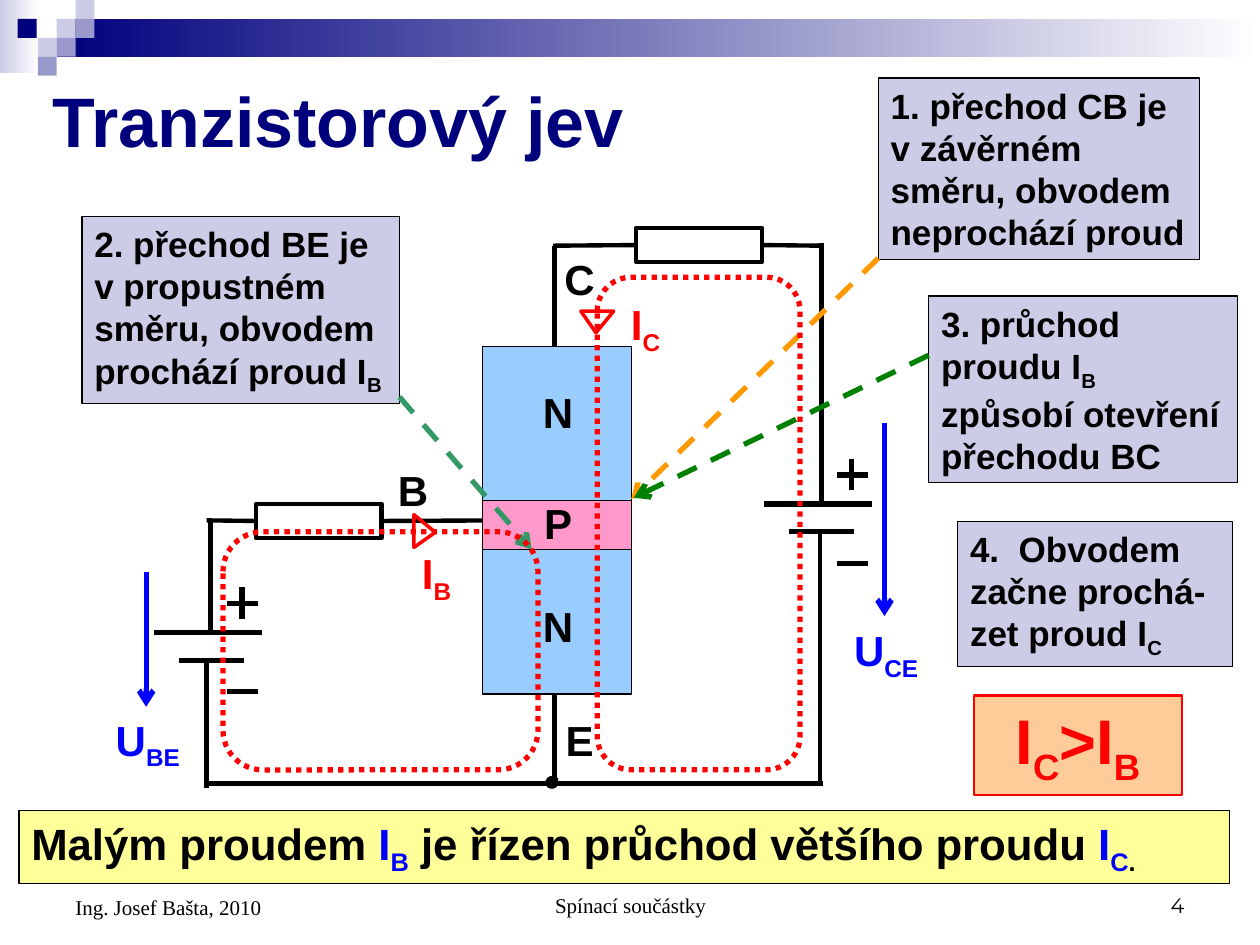
import pptx
import pptx.dml.color
import pptx.enum.dml
import pptx.enum.shapes
import pptx.enum.text
import pptx.oxml.ns
import pptx.util
from lxml import etree

RGB = pptx.dml.color.RGBColor
SHAPE = pptx.enum.shapes.MSO_SHAPE
DASH = pptx.enum.dml.MSO_LINE
ALIGN = pptx.enum.text.PP_ALIGN
ANCHOR = pptx.enum.text.MSO_ANCHOR

BLACK, WHITE = RGB(0, 0, 0), RGB(255, 255, 255)
NAVY, LAVENDER, VIOLET = RGB(0, 0, 0x7D), RGB(0xCC, 0xCC, 0xE6), RGB(0x99, 0x99, 0xCC)
SKY, PINK = RGB(0x99, 0xCC, 0xFF), RGB(0xFF, 0x99, 0xCC)
BLUE, RED = RGB(0, 0, 255), RGB(255, 0, 0)
ORANGE, TEAL, GREEN = RGB(0xFF, 0x99, 0), RGB(0x33, 0x99, 0x66), RGB(0, 0x80, 0)
YELLOW, PEACH = RGB(0xFF, 0xFF, 0x99), RGB(0xFF, 0xCC, 0x99)

EMU_PER_PX = 9144  # 100 px to the inch

# Header band: frame and fill (a pair of colours is a gradient)
HEADER = [
    ((0, 0, 31, 58), (WHITE, LAVENDER)),
    ((45, 15, 955, 30), (WHITE, NAVY)),
]
HEADER_SQUARES = [
    (45, 15, LAVENDER), (60, 0, LAVENDER), (60, 15, VIOLET), (30, 30, LAVENDER),
    (14, 15, NAVY), (45, 30, VIOLET), (30, 45, VIOLET),
]
SQUARE = 15

# Circuit: resistors, wires leaving their sides, and free wires
RESISTORS = {"collector": (505, 181, 100, 27), "base": (203, 400, 100, 27)}
LEFT, RIGHT = 1, 3
RESISTOR_WIRES = [
    ("collector", LEFT, (439, 195)), ("collector", RIGHT, (652, 195)),
    ("base", LEFT, (164, 413)), ("base", RIGHT, (403, 413)),
]
WIRES = [
    (440, 195, 440, 623), (165, 622, 653, 622),
    (651, 623, 651, 423), (652, 398, 652, 193),
    (167, 500, 167, 412), (164, 625, 164, 522),
]
JUNCTION = (438, 621, 442, 617)
LAYERS = [((383, 275, 118, 276), SKY), ((383, 397, 118, 39), PINK)]

# Batteries: left end of the long plate; strokes are relative to it
BATTERIES = [(606, 400), (122, 502)]
BATTERY_STROKES = [
    (0, 0, 86, 0), (20, 22, 72, 22),
    (70, -11, 70, -36), (58, -23, 83, -23), (58, 47, 83, 47),
]
VOLTAGE_ARROWS = [(702, 336, 702, 489), (116, 454, 116, 561)]

# Text between bars is subscript
LABELS = [
    ("N", (421, 302, 48, 50), BLACK), ("P", (422, 390, 48, 50), BLACK),
    ("N", (421, 472, 48, 50), BLACK), ("E", (439, 562, 48, 50), BLACK),
    ("C", (438, 196, 48, 50), BLACK), ("B", (306, 364, 48, 50), BLACK),
    ("U|CE|", (668, 491, 81, 56), BLUE), ("U|BE|", (82, 562, 81, 56), BLUE),
    ("I|B|", (325, 430, 54, 56), RED), ("I|C|", (491, 232, 53, 56), RED),
]
NOTES = [
    ("1. přechod CB je v závěrném směru, obvodem neprochází proud", (697, 62, 255, 144)),
    ("2. přechod BE je v propustném směru, obvodem prochází proud I|B|", (65, 172, 252, 148)),
    ("3. průchod proudu I|B| způsobí otevření přechodu BC", (737, 235, 245, 148)),
    ("4.  Obvodem začne prochá-zet proud I|C|", (760, 414, 218, 115)),
]
NOTE_ARROWS = [
    ((697, 205, 501, 396), ORANGE), ((317, 315, 422, 436), TEAL), ((737, 282, 503, 395), GREEN),
]
CONCLUSION = [
    ("Malým proudem ", BLACK), ("I|B|", BLUE), (" je řízen průchod většího proudu ", BLACK),
    ("I|C|", BLUE), ("|.|", BLACK),
]

# Current loops and their direction triangles (frame, rotation)
LOOPS = [(177, 422, 250, 189), (474, 220, 161, 391)]
TRIANGLES = [((324, 413, 26, 17), 90), ((461, 247, 26, 17), 180)]

FOOTERS = [
    ("Spínací součástky", (342, 683, 317, 50), "Times New Roman", ALIGN.CENTER),
    ("4", (717, 683, 233, 50), "Montserrat", ALIGN.RIGHT),
    ("Ing. Josef Bašta, 2010", (50, 683, 233, 52), "Times New Roman", ALIGN.LEFT),
]

presentation = pptx.Presentation()
presentation.slide_width, presentation.slide_height = 1000 * EMU_PER_PX, 750 * EMU_PER_PX
slide = presentation.slides.add_slide(presentation.slide_layouts[6])


def emu(lengths):
    return [length * EMU_PER_PX for length in lengths]


def add_shape(frame, fill=None, line=None, width=0.75, kind=SHAPE.RECTANGLE):
    shape = slide.shapes.add_shape(kind, *emu(frame))
    shape.shadow.inherit = False
    if fill is None:
        shape.fill.background()
    elif isinstance(fill, RGB):
        shape.fill.solid()
        shape.fill.fore_color.rgb = fill
    else:
        shape.fill.gradient()
        shape.fill.gradient_angle = 180
        for stop, colour in zip(shape.fill.gradient_stops, fill):
            stop.color.rgb = colour
    if line is None:
        shape.line.fill.background()
    else:
        shape.line.color.rgb = line
        shape.line.width = pptx.util.Pt(width)
    return shape


def add_line(points, colour=BLACK, width=2.5, dash=None, end=None):
    """end is an (element, type) pair such as ("tailEnd", "arrow")."""
    connector = slide.shapes.add_connector(pptx.enum.shapes.MSO_CONNECTOR.STRAIGHT, *emu(points))
    connector.line.color.rgb = colour
    connector.line.width = pptx.util.Pt(width)
    if dash:
        connector.line.dash_style = dash
    if end:
        outline = connector.line._get_or_add_ln()
        etree.SubElement(outline, pptx.oxml.ns.qn("a:" + end[0]), type=end[1])
    etree.SubElement(connector._element.spPr, pptx.oxml.ns.qn("a:effectLst"))
    return connector


def write(shape, segments, size, font="Arial", bold=True, align=ALIGN.LEFT, anchor=ANCHOR.TOP):
    """segments is a list of (text, colour)."""
    frame = shape.text_frame
    frame.word_wrap = True
    frame.vertical_anchor = anchor
    paragraph = frame.paragraphs[0]
    paragraph.alignment = align
    paragraph.font.name, paragraph.font.size = font, pptx.util.Pt(size)
    paragraph.font.bold = bold
    paragraph.font.color.rgb = segments[0][1]
    for text, colour in segments:
        for index, part in enumerate(text.split("|")):
            if not part:
                continue
            run = paragraph.add_run()
            run.text = part
            if colour != segments[0][1]:
                run.font.color.rgb = colour
            if index % 2:
                run._r.get_or_add_rPr().set("baseline", "-25000")


def add_text(text, frame, colour, size, **options):
    write(slide.shapes.add_textbox(*emu(frame)), [(text, colour)], size, **options)


# Header and title
for frame, fill in HEADER:
    add_shape(frame, fill)
for x, y, fill in HEADER_SQUARES:
    add_shape((x, y, SQUARE, SQUARE), fill)
add_text("Tranzistorový jev", (32, 50, 502, 90), NAVY, 40, anchor=ANCHOR.MIDDLE)

# Circuit
resistors = {name: add_shape(frame, line=BLACK, width=2.5) for name, frame in RESISTORS.items()}
for name, side, end_point in RESISTOR_WIRES:
    add_line(end_point + end_point).begin_connect(resistors[name], side)
for points in WIRES:
    add_line(points)
add_line(JUNCTION, end=("headEnd", "oval"))
for frame, fill in LAYERS:
    add_shape(frame, fill, BLACK)
for x, y in BATTERIES:
    for x1, y1, x2, y2 in BATTERY_STROKES:
        add_line((x + x1, y + y1, x + x2, y + y2), width=3)
for points in VOLTAGE_ARROWS:
    add_line(points, BLUE, 3, end=("tailEnd", "arrow"))

# Notes and their arrows
for text, frame in NOTES:
    write(add_shape(frame, LAVENDER, BLACK), [(text, BLACK)], 20)
for points, colour in NOTE_ARROWS:
    add_line(points, colour, 3, DASH.DASH, ("tailEnd", "arrow"))

# Current loops and labels
for frame in LOOPS:
    loop = add_shape(frame, line=RED, width=3, kind=SHAPE.ROUNDED_RECTANGLE)
    loop.line.dash_style = DASH.ROUND_DOT
for frame, rotation in TRIANGLES:
    triangle = add_shape(frame, line=RED, width=2, kind=SHAPE.ISOSCELES_TRIANGLE)
    triangle.adjustments[0] = 0.54
    triangle.rotation = rotation
for text, frame, colour in LABELS:
    add_text(text, frame, colour, 24)

# Conclusion and footers
write(add_shape((15, 643, 961, 58), YELLOW, BLACK), CONCLUSION, 25)
write(add_shape((773, 552, 165, 79), PEACH, RED, 1.25), [("I|C|>I|B|", RED)], 36, align=ALIGN.CENTER)
for text, frame, font, align in FOOTERS:
    add_text(text, frame, BLACK, 12, font=font, bold=False, align=align, anchor=ANCHOR.BOTTOM)

presentation.save("out.pptx")
